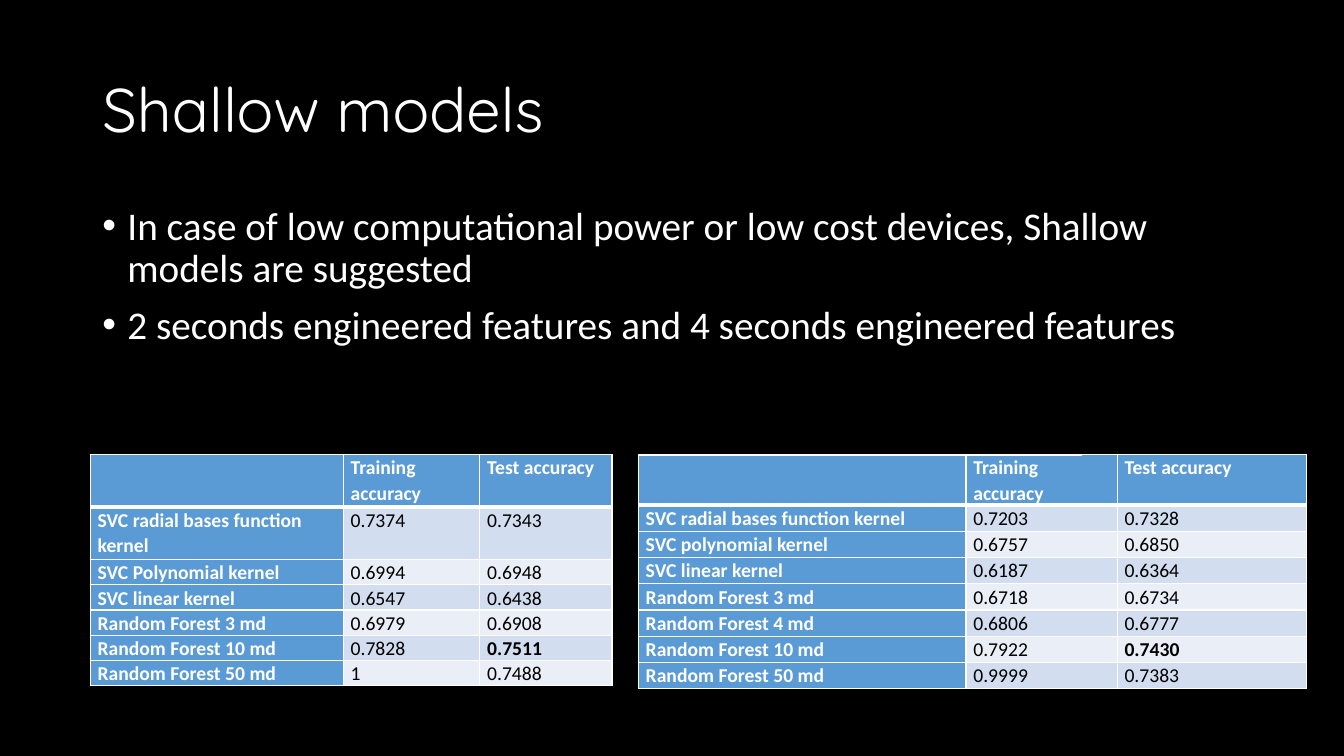
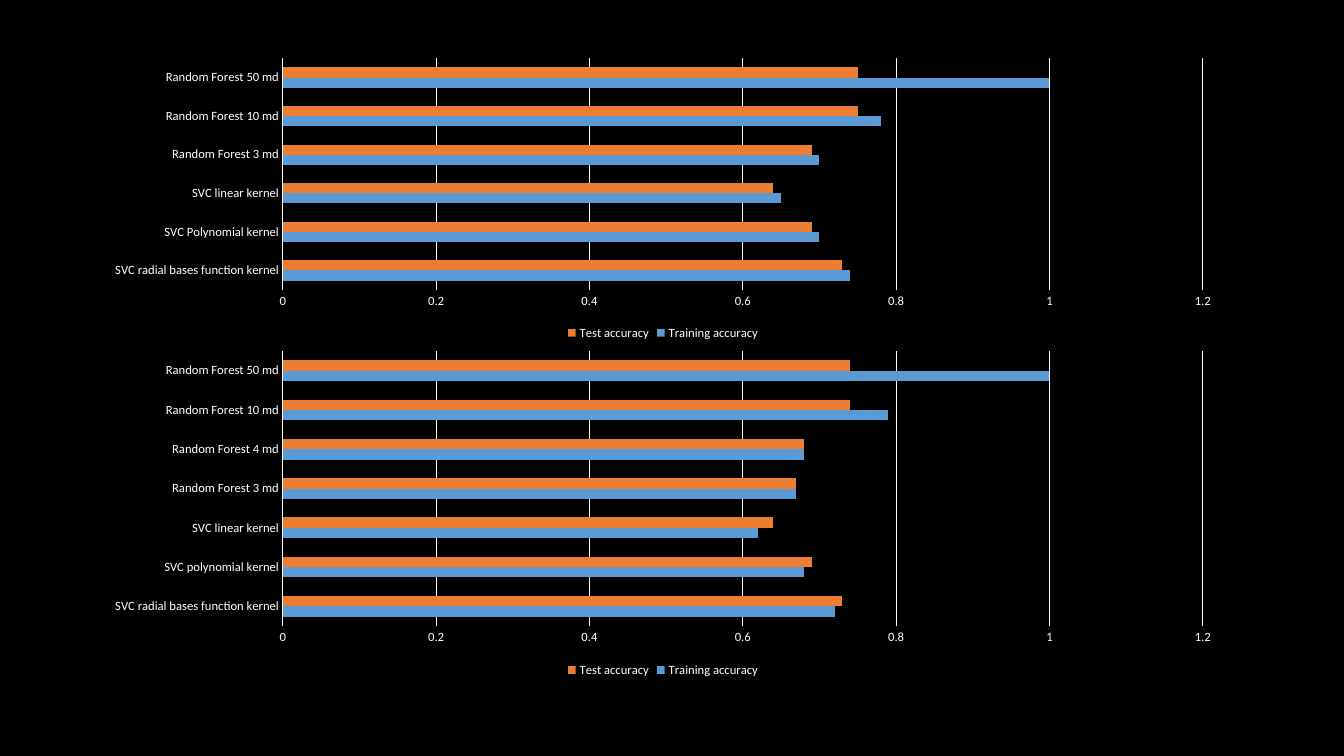
from dataclasses import dataclass
from lxml.etree import SubElement
from pptx import Presentation
from pptx.chart.data import CategoryChartData
from pptx.dml.color import RGBColor
from pptx.enum.chart import XL_CHART_TYPE, XL_LEGEND_POSITION, XL_TICK_MARK
from pptx.enum.shapes import MSO_SHAPE
from pptx.enum.text import MSO_ANCHOR
from pptx.oxml.ns import qn
from pptx.util import Emu, Pt


@dataclass(frozen=True)
class Theme:
    black: str = "000000"
    white: str = "FFFFFF"
    blue: str = "5B9BD5"
    orange: str = "ED7D31"
    bands: tuple = ("D2DEEF", "EAEFF7")
    head: str = "Quicksand"
    body: str = "Calibri"
    title: int = 44
    text: int = 28
    cell: int = 14
    chart: int = 10
    label: int = 9


THEME = Theme()
HEADS = ("Training accuracy", "Test accuracy")
SHORT = (
    ("SVC radial bases function kernel", "0.7374", "0.7343"),
    ("SVC Polynomial kernel", "0.6994", "0.6948"),
    ("SVC linear kernel", "0.6547", "0.6438"),
    ("Random Forest 3 md", "0.6979", "0.6908"),
    ("Random Forest 10 md", "0.7828", "0.7511"),
    ("Random Forest 50 md", "1", "0.7488"),
)
LONG = (
    ("SVC radial bases function kernel", "0.7203", "0.7328"),
    ("SVC polynomial kernel", "0.6757", "0.6850"),
    ("SVC linear kernel", "0.6187", "0.6364"),
    ("Random Forest 3 md", "0.6718", "0.6734"),
    ("Random Forest 4 md", "0.6806", "0.6777"),
    ("Random Forest 10 md", "0.7922", "0.7430"),
    ("Random Forest 50 md", "0.9999", "0.7383"),
)


def px(size):
    return Emu(size * 9525)


def place(*box):
    return [px(side) for side in box]


def rgb(code):
    return RGBColor.from_string(code)


def paint(fill, code):
    fill.solid()
    fill.fore_color.rgb = rgb(code)


def style(font, size, code=THEME.white, name=THEME.body, bold=False):
    font.size = Pt(size)
    font.name = name
    font.bold = bold
    font.color.rgb = rgb(code)


def add_text(slide, box, lines, size, name, anchor, bullet=False):
    frame = slide.shapes.add_textbox(*place(*box)).text_frame
    frame.word_wrap = True
    frame.vertical_anchor = anchor
    for spot, line in enumerate(lines):
        para = frame.add_paragraph() if spot else frame.paragraphs[0]
        para.text = line
        para.line_spacing = 0.9
        if spot:
            para.space_before = Pt(10)
        if bullet:
            props = para._p.get_or_add_pPr()
            props.set("marL", str(px(24)))
            props.set("indent", str(-px(24)))
            SubElement(props, qn("a:buFont"), typeface="Arial")
            SubElement(props, qn("a:buChar"), char="•")
        style(para.font, size, name=name)


def add_edge(cell, side, width):
    line = SubElement(cell._tc.get_or_add_tcPr(), qn("a:" + side), w=str(Pt(width)))
    fill = SubElement(line, qn("a:solidFill"))
    SubElement(fill, qn("a:srgbClr"), val=THEME.white)


def fill_cell(cell, text, row, code, ink, bold):
    for side in ("lnL", "lnR", "lnT", "lnB"):
        thick = (row, side) in ((0, "lnB"), (1, "lnT"))
        add_edge(cell, side, 3 if thick else 1)
    paint(cell.fill, code)
    cell.margin_left = cell.margin_right = px(7)
    cell.margin_top = cell.margin_bottom = 0
    cell.text = text
    para = cell.text_frame.paragraphs[0]
    para.line_spacing = 1.07
    style(para.font, THEME.cell, ink, bold=bold)


def add_scores(slide, left, top, wide, tall, data):
    rows = (("", *HEADS), *data)
    box = place(left, top, sum(wide), sum(tall))
    table = slide.shapes.add_table(len(rows), len(wide), *box).table
    table.first_col = True
    for col, size in zip(table.columns, wide):
        col.width = px(size)
    for row, size in zip(table.rows, tall):
        row.height = px(size)
    best = max(float(row[2]) for row in data)
    for down, row in enumerate(rows):
        for over, text in enumerate(row):
            head = down == 0 or over == 0
            code = THEME.blue if head else THEME.bands[(down - 1) % 2]
            ink = THEME.white if head else THEME.black
            bold = head or (over == 2 and float(text) == best)
            fill_cell(table.cell(down, over), text, down, code, ink, bold)


def add_rule(slide, box):
    rule = slide.shapes.add_shape(MSO_SHAPE.RECTANGLE, *place(*box))
    rule.shadow.inherit = False
    paint(rule.fill, THEME.black)
    rule.line.color.rgb = rgb(THEME.white)
    rule.line.width = Pt(0.75)


def white_line(line):
    line.color.rgb = rgb(THEME.white)
    line.width = Pt(0.75)


def add_bars(slide, box, data):
    info = CategoryChartData()
    info.categories = [row[0] for row in data]
    for spot, name in enumerate(HEADS, 1):
        info.add_series(name, [round(float(row[spot]), 2) for row in data])
    kind = XL_CHART_TYPE.BAR_CLUSTERED
    chart = slide.shapes.add_chart(kind, *place(*box), info).chart
    style(chart.font, THEME.chart)
    chart.has_title = False
    chart.has_legend = True
    chart.legend.position = XL_LEGEND_POSITION.BOTTOM
    chart.legend.include_in_layout = False
    style(chart.legend.font, THEME.label)
    plot = chart.plots[0]
    plot.gap_width = 182
    plot.overlap = 0
    plot.vary_by_categories = False
    for series, code in zip(plot.series, (THEME.blue, THEME.orange)):
        paint(series.format.fill, code)
    names, scale = chart.category_axis, chart.value_axis
    for axis in (names, scale):
        axis.major_tick_mark = axis.minor_tick_mark = XL_TICK_MARK.NONE
        style(axis.tick_labels.font, THEME.label)
    white_line(names.format.line)
    scale.format.line.fill.background()
    scale.has_major_gridlines = True
    white_line(scale.major_gridlines.format.line)
    scale.minimum_scale = 0
    scale.maximum_scale = 1.2
    scale.major_unit = 0.2


def add_models(slide):
    add_text(slide, (88, 38, 1104, 139), ["Shallow models"],
             THEME.title, THEME.head, MSO_ANCHOR.MIDDLE)
    add_text(slide, (88, 192, 1104, 457), [
        "In case of low computational power or low cost devices, "
        "Shallow models are suggested",
        "2 seconds engineered features and 4 seconds engineered features",
    ], THEME.text, THEME.body, MSO_ANCHOR.TOP, bullet=True)
    add_scores(slide, 86, 433, (241, 130, 126), (50, 50, *[24] * 5), SHORT)
    add_scores(slide, 608, 433, (312, 144, 180), (47, *[25] * 7), LONG)
    add_rule(slide, (608, 433, 422, 1))


def add_charts(slide):
    add_bars(slide, (88, 50, 1087, 278), SHORT)
    add_bars(slide, (88, 328, 1087, 321), LONG)


def main():
    deck = Presentation()
    deck.slide_width, deck.slide_height = px(1280), px(720)
    paint(deck.slide_master.background.fill, THEME.black)
    for build in (add_models, add_charts):
        build(deck.slides.add_slide(deck.slide_layouts[6]))
    deck.save("out.pptx")


if __name__ == "__main__":
    main()
